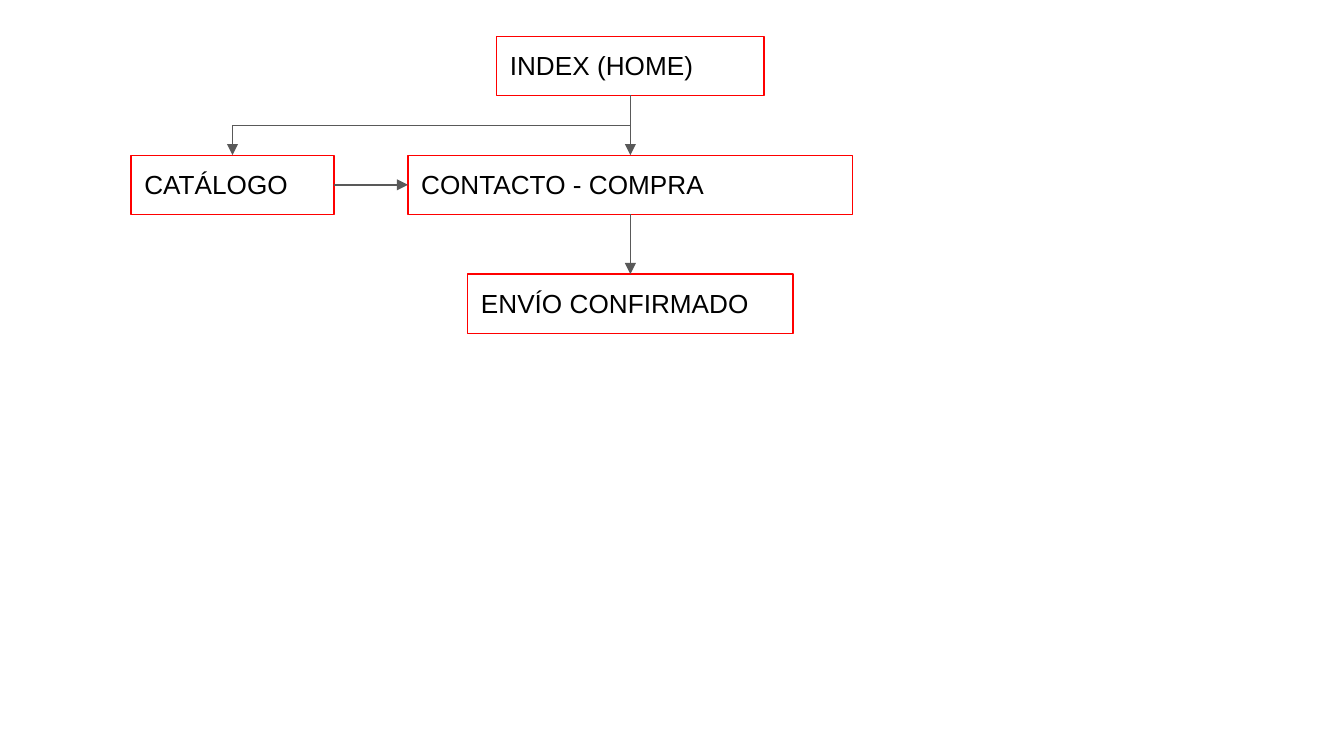
from lxml.etree import SubElement
from pptx import Presentation
from pptx.dml.color import RGBColor
from pptx.enum.shapes import MSO_CONNECTOR, MSO_SHAPE
from pptx.enum.text import MSO_ANCHOR, MSO_AUTO_SIZE, PP_ALIGN
from pptx.oxml.ns import qn
from pptx.util import Inches, Pt

RED = RGBColor(0xFF, 0x00, 0x00)
GRAY = RGBColor(0x59, 0x59, 0x59)
BLACK = RGBColor(0x00, 0x00, 0x00)

MAIN_CENTER = 4.69
CATALOG_CENTER = 1.73
FIRST_TOP = 0.27
LAST_TOP = 2.04
ROW_PITCH = (LAST_TOP - FIRST_TOP) / 2
PAGE_HEIGHT = 0.44
TOP, LEFT, BOTTOM, RIGHT = range(4)


def write_text(frame, text, *, size=14, font="Arial", color=BLACK):
    frame.word_wrap = True
    frame.auto_size = MSO_AUTO_SIZE.SHAPE_TO_FIT_TEXT
    frame.vertical_anchor = MSO_ANCHOR.TOP
    frame.margin_left = frame.margin_right = Inches(0.1)
    frame.margin_top = frame.margin_bottom = Inches(0.1)
    paragraph = frame.paragraphs[0]
    paragraph.alignment = PP_ALIGN.LEFT
    run = paragraph.add_run()
    run.text = text
    run.font.size = Pt(size)
    run.font.name = font
    run.font.color.rgb = color


def add_page(slide, title, *, center, row, width):
    page = slide.shapes.add_shape(
        MSO_SHAPE.RECTANGLE,
        Inches(center - width / 2),
        Inches(FIRST_TOP + row * ROW_PITCH),
        Inches(width),
        Inches(PAGE_HEIGHT),
    )
    page.shadow.inherit = False
    page.fill.background()
    page.line.color.rgb = RED
    page.line.width = Pt(0.75)
    write_text(page.text_frame, title)
    return page


def turn_downward(arrow):
    run, drop = arrow.width, arrow.height
    center_x, center_y = arrow.left + run // 2, arrow.top + drop // 2
    arrow.left, arrow.top = center_x - drop // 2, center_y - run // 2
    arrow.width, arrow.height = drop, run
    frame = arrow.element.spPr.find(qn("a:xfrm"))
    frame.set("rot", "5400000")
    frame.set("flipH", "0")


def add_arrow(slide, source, target, *, start=BOTTOM, end=TOP):
    arrow = slide.shapes.add_connector(MSO_CONNECTOR.ELBOW, 0, 0, 0, 0)
    arrow.begin_connect(source, start)
    arrow.end_connect(target, end)
    if start == BOTTOM:
        turn_downward(arrow)
    arrow.line.color.rgb = GRAY
    arrow.line.width = Pt(0.75)
    properties = arrow.element.spPr
    SubElement(properties.find(qn("a:ln")), qn("a:tailEnd"), type="triangle")
    SubElement(properties, qn("a:effectLst"))


def main():
    presentation = Presentation()
    presentation.slide_width = Inches(10)
    presentation.slide_height = presentation.slide_width * 9 // 16
    slide = presentation.slides.add_slide(presentation.slide_layouts[6])

    home = add_page(slide, "INDEX (HOME)", center=MAIN_CENTER, row=0, width=1.99)
    catalog = add_page(slide, "CATÁLOGO", center=CATALOG_CENTER, row=1, width=1.51)
    contact = add_page(slide, "CONTACTO - COMPRA", center=MAIN_CENTER, row=1, width=3.31)
    add_arrow(slide, home, catalog)
    add_arrow(slide, home, contact)
    add_arrow(slide, catalog, contact, start=RIGHT, end=LEFT)

    confirmation = add_page(slide, "ENVÍO CONFIRMADO", center=MAIN_CENTER, row=2, width=2.42)
    add_arrow(slide, contact, confirmation)

    presentation.save("out.pptx")


if __name__ == "__main__":
    main()
